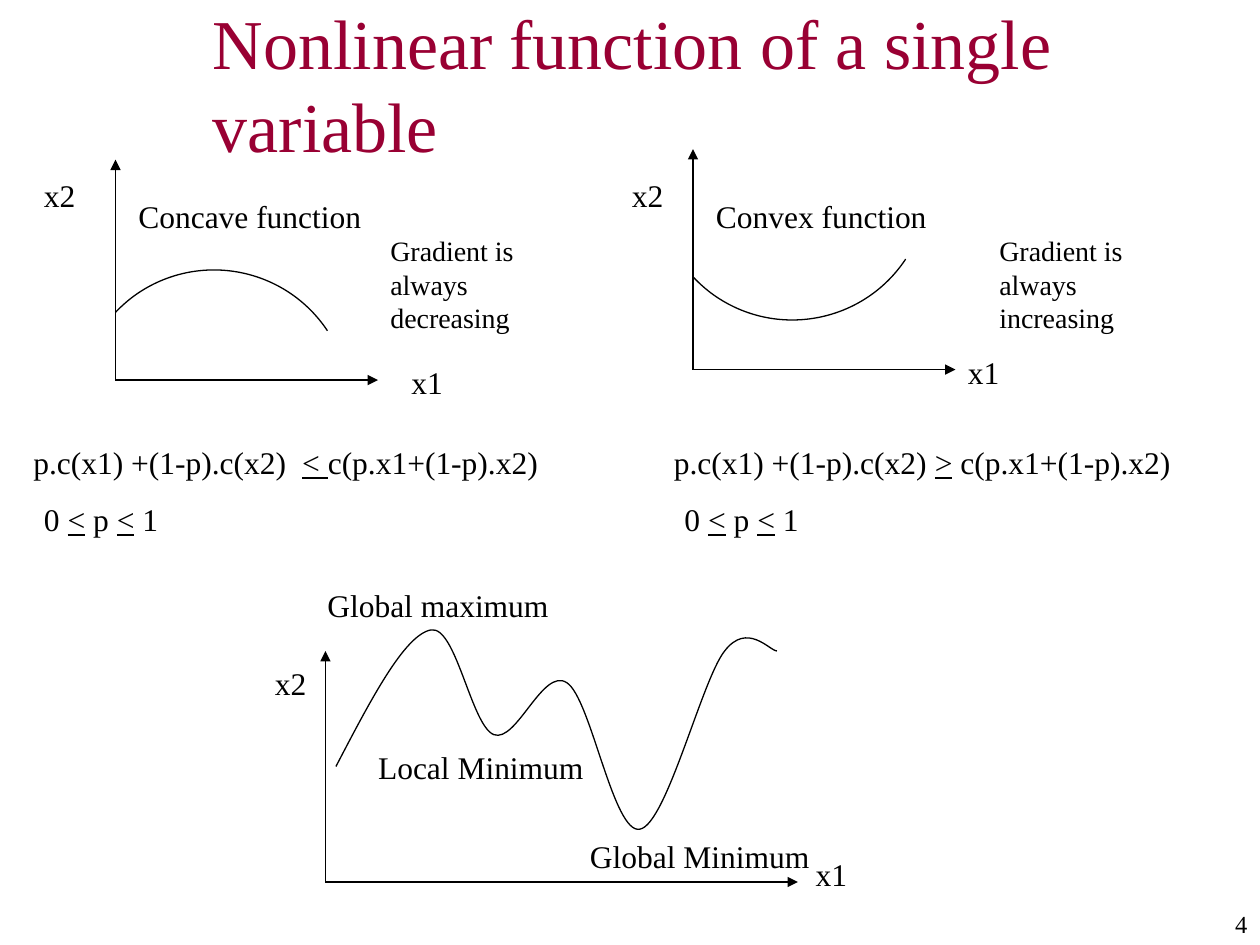
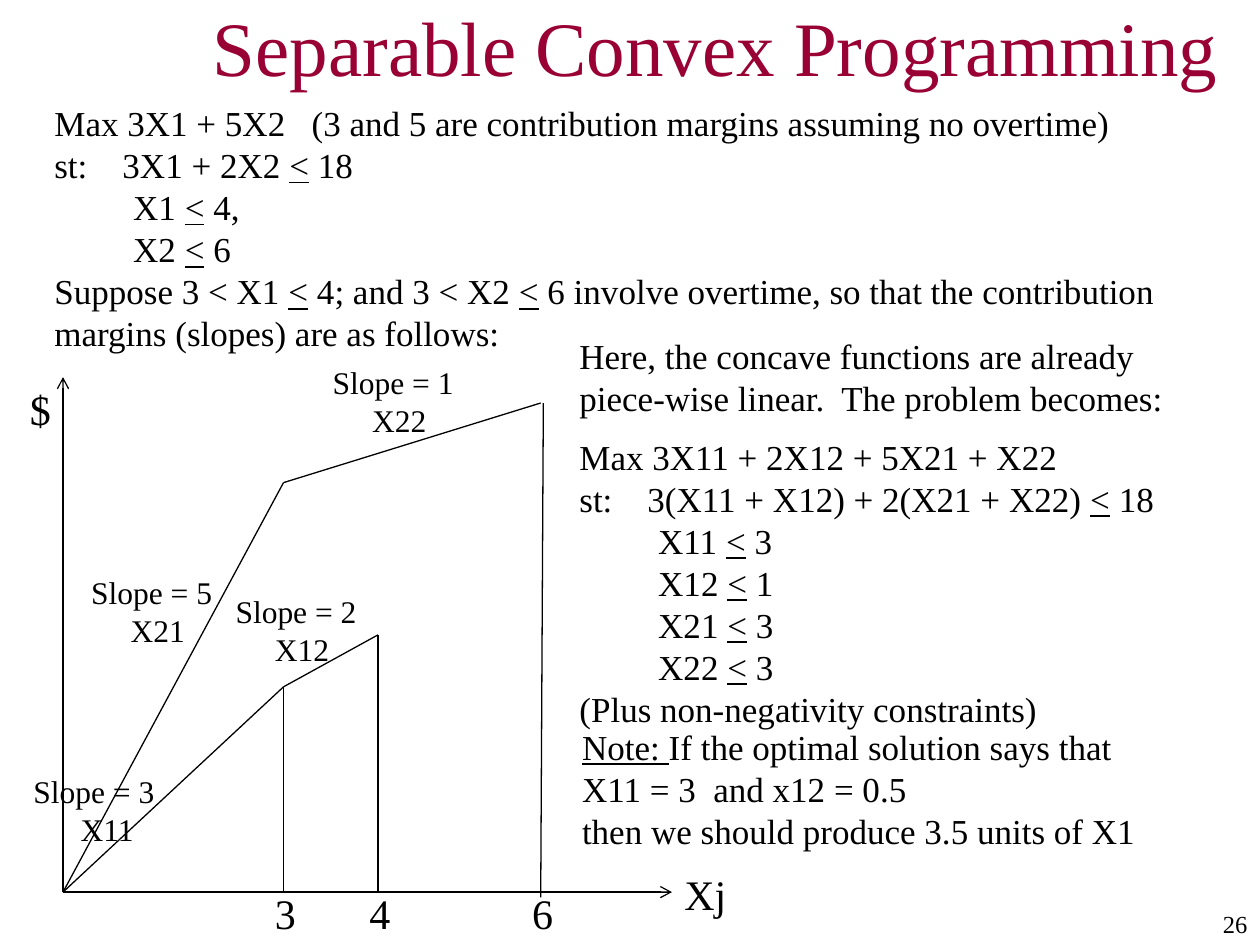
from copy import deepcopy
from dataclasses import dataclass

from lxml import etree
from pptx import Presentation, util as u
from pptx.dml.color import RGBColor
from pptx.enum import shapes, text
from pptx.oxml import ns
from pptx.slide import Slide

FONT = "Times New Roman"
INK = "000000"
TITLE_COLOR = "990033"
LINE_WIDTH = u.Pt(0.75)

Point = tuple[float, float]


@dataclass(frozen=True)
class Line:
    """One paragraph; underscores switch underlining on and off."""
    text: str
    indent: float = 0
    tab: float = 0
    before: float = 0


@dataclass(frozen=True)
class Label:
    left: float
    top: float
    width: float
    height: float
    content: str | tuple[Line, ...]
    size: float = 18
    color: str = INK
    align: text.PP_ALIGN = text.PP_ALIGN.LEFT
    anchor: text.MSO_ANCHOR = text.MSO_ANCHOR.TOP


@dataclass(frozen=True)
class Axes:
    origin: Point
    top: float
    right: float
    arrow: str = "triangle"


@dataclass(frozen=True)
class Arc:
    """A turned circular arc; direction -1 mirrors it top to bottom."""
    center: Point
    direction: int
    rotation: float


def rgb(value: str) -> RGBColor:
    return RGBColor.from_string(value)


def apply(target: object, values: dict) -> None:
    for name, value in values.items():
        setattr(target, name, value)


def write_line(paragraph, line: Line, label: Label) -> None:
    properties = paragraph._p.get_or_add_pPr()
    if line.indent:
        properties.set("marL", str(u.Pt(line.indent)))
        properties.set("indent", "0")
    if line.tab:
        tabs = etree.SubElement(properties, ns.qn("a:tabLst"))
        etree.SubElement(tabs, ns.qn("a:tab"), pos=str(u.Pt(line.tab)), algn="l")
    if line.before:
        paragraph.space_before = u.Pt(line.before)
    paragraph.alignment = label.align
    for index, part in enumerate(line.text.split("_")):
        for row, words in enumerate(part.split("\n")):
            if row:
                paragraph.add_line_break()
            if words:
                run = paragraph.add_run()
                run.text = words
                apply(run.font, {"name": FONT, "size": u.Pt(label.size),
                                 "underline": index % 2 == 1})
                run.font.color.rgb = rgb(label.color)


def add_label(slide: Slide, label: Label) -> None:
    box = slide.shapes.add_textbox(*map(u.Pt, (label.left, label.top, label.width, label.height)))
    frame = box.text_frame
    apply(frame, {"word_wrap": True, "auto_size": text.MSO_AUTO_SIZE.NONE,
                  "vertical_anchor": label.anchor})
    lines = (Line(label.content),) if isinstance(label.content, str) else label.content
    for index, line in enumerate(lines):
        paragraph = frame.add_paragraph() if index else frame.paragraphs[0]
        write_line(paragraph, line, label)


def add_line(slide: Slide, start: Point, end: Point, arrow: str = "") -> None:
    connector = slide.shapes.add_connector(
        shapes.MSO_CONNECTOR.STRAIGHT, *map(u.Pt, (*start, *end)))
    connector.line.color.rgb = rgb(INK)
    connector.line.width = LINE_WIDTH
    if arrow:
        etree.SubElement(connector.line._get_or_add_ln(), ns.qn("a:tailEnd"), type=arrow)
    etree.SubElement(connector._element.spPr, ns.qn("a:effectLst"))


def add_axes(slide: Slide, axes: Axes) -> None:
    x, y = axes.origin
    add_line(slide, axes.origin, (x, axes.top), axes.arrow)
    add_line(slide, axes.origin, (axes.right, y), axes.arrow)


def add_polyline(slide: Slide, points: list[Point]) -> None:
    for start, end in zip(points, points[1:]):
        add_line(slide, start, end)


def add_curve(slide: Slide, controls: list[Point]):
    """Draw joined cubic curves; each takes three further control points."""
    builder = slide.shapes.build_freeform(*map(u.Pt, controls[0]))
    builder.add_line_segments([(u.Pt(x), u.Pt(y)) for x, y in controls[1:]], close=False)
    curve = builder.convert_to_shape()
    curve.shadow.inherit = False
    curve.fill.background()
    curve.line.color.rgb = rgb(INK)
    curve.line.width = LINE_WIDTH
    outline = curve._element.find(".//" + ns.qn("a:path"))
    outline.set("fill", "none")
    segments = outline.findall(ns.qn("a:lnTo"))
    for first in range(0, len(segments), 3):
        cubic = etree.SubElement(outline, ns.qn("a:cubicBezTo"))
        for segment in segments[first:first + 3]:
            cubic.append(segment[0])
            outline.remove(segment)
    return curve


def add_arc(slide: Slide, arc: Arc) -> None:
    x, y = arc.center
    curve = add_curve(slide, [(x + dx, y + arc.direction * dy) for dx, dy in ARC_CONTROLS])
    curve.rotation = arc.rotation
    outline = curve._element.find(".//" + ns.qn("a:path"))
    sector = deepcopy(outline)
    del sector.attrib["fill"]
    sector.set("stroke", "0")
    side = etree.SubElement(sector, ns.qn("a:lnTo"))
    etree.SubElement(side, ns.qn("a:pt"), x=str(u.Pt(x) - curve.left), y=str(u.Pt(y) - curve.top))
    etree.SubElement(sector, ns.qn("a:close"))
    outline.addnext(sector)


def add_slide(presentation, title: Label, number: int) -> Slide:
    slide = presentation.slides.add_slide(presentation.slide_layouts[6])
    add_label(slide, title)
    add_label(slide, Label(618, 516, 102, 24, str(number), 14, align=text.PP_ALIGN.RIGHT))
    return slide


def title_label(top: float, width: float, height: float, content: str, size: float) -> Label:
    return Label(114.6, top, width, height, content, size, TITLE_COLOR,
                 anchor=text.MSO_ANCHOR.MIDDLE)


ARC_CONTROLS = [(0, 77.8), (43, 77.8), (77.8, 43), (77.8, 0),
                (77.8, -5.8), (77.1, -11.6), (75.8, -17.3)]
CONCAVE_ARC = Arc((87.1, 152.7), 1, 236.4)
CONVEX_ARC = Arc((417.5, 184.4), -1, 123.6)
GLOBAL_CURVE = [
    (192, 438), (211.7, 400.3), (231.1, 362.9), (246.2, 360),
    (260.6, 357.1), (269.3, 414.7), (282.2, 419.8),
    (295.2, 424.8), (310.3, 380.9), (324, 390.2),
    (337.7, 398.9), (350.6, 477.4), (365.8, 473.8),
    (380.9, 470.9), (401, 388.8), (414, 372.2),
    (427, 355), (439.9, 372), (444, 372)]
FUNCTION_AXES = [Axes((66, 217.2), 91.2, 216), Axes((396, 211.2), 85.2, 546),
                 Axes((186, 504), 372, 456)]
FUNCTION_LABELS = [
    Label(72, 109.2, 174, 29, "Concave function"),
    Label(402, 109.2, 174, 29, "Convex function"),
    Label(12, 249.6, 348, 29, "p.c(x1) +(1-p).c(x2)  _< _c(p.x1+(1-p).x2)"),
    Label(378, 249.6, 348, 29, "p.c(x1) +(1-p).c(x2) _>_ c(p.x1+(1-p).x2)"),
    *(Label(left, 282, 126, 29, "0 _<_ p _<_ 1") for left in (18, 384)),
    *(Label(left, top, 36, 29, "x1") for left, top in ((228, 204), (546, 198), (459, 484.8))),
    *(Label(left, top, 36, 29, "x2") for left, top in ((18, 97.2), (354, 97.2), (150, 376))),
    Label(180, 331.5, 174, 29, "Global maximum"),
    Label(209, 423.8, 174, 29, "Local Minimum"),
    Label(330, 474.5, 174, 29, "Global Minimum"),
    Label(216, 130, 108, 65, "Gradient is always decreasing", 16),
    Label(564, 130, 108, 65, "Gradient is always increasing", 16),
]

ORIGIN = (36, 509.8)
X2_PROFIT = [ORIGIN, (162, 275.8), (309, 230.3)]
X1_PROFIT = [ORIGIN, (162, 392.5), (216, 362.8)]
DROPS = [((162, 392.5), (162, 509.8)), ((216, 362.8), (216, 509.8)),
         ((310.5, 230.3), (309, 512.8))]
CONSTRAINT_INDENT = 45
ST_TAB = 38.9


def constraint(content: str) -> Line:
    return Line(content, indent=CONSTRAINT_INDENT)


def slope_label(left: float, top: float, slope: int, variable: str, indent: float = 22.5) -> Label:
    return Label(left, top, 93, 50, (Line(f"Slope = {slope}"), Line(variable, indent)))


PROGRAMMING_LABELS = [
    Label(24, 54.5, 678, 151, (
        Line("Max 3X1 + 5X2\t(3 and 5 are contribution margins assuming no overtime)", tab=147),
        Line("st:\t3X1 + 2X2 _<_ 18", tab=ST_TAB),
        constraint("X1 _<_ 4,"),
        constraint("X2 _<_ 6"),
        Line("Suppose 3 < X1 _<_ 4; and 3 < X2 _<_ 6 involve overtime, "
             "so that the contribution margins (slopes) are as follows:")), 20),
    Label(324, 187.5, 378, 233, (
        Line("Here, the concave functions are already piece-wise linear.  The problem becomes:"),
        Line("Max 3X11 + 2X12 + 5X21 + X22", before=9.8),
        Line("st:\t3(X11 + X12) + 2(X21 + X22) _<_ 18", tab=ST_TAB),
        constraint("X11 _<_ 3"),
        constraint("X12 _<_ 1\nX21 _<_ 3"),
        constraint("X22 _<_ 3"),
        Line("(Plus non-negativity constraints)")), 20),
    Label(325.5, 411, 336, 79, (
        Line("_Note: _If the optimal solution says that X11 = 3  and x12 = 0.5"),
        Line("then we should produce 3.5 units of X1")), 20),
    slope_label(45, 323.8, 5, "X21"),
    slope_label(12, 437.5, 3, "X11", 27),
    slope_label(127.5, 334.8, 2, "X12"),
    slope_label(183, 203.8, 1, "X22"),
    *(Label(left, 503.4, 27, 36, mark, 24)
      for left, mark in ((150, "3"), (204, "4"), (297, "6"))),
    Label(384, 492.5, 42, 36, "Xj", 24),
    Label(10, 215.5, 28, 36, "$", 24),
]


def build_function_slide(presentation) -> None:
    title = title_label(17.4, 576, 60, "Nonlinear function of a single variable", 40)
    slide = add_slide(presentation, title, 4)
    for axes in FUNCTION_AXES:
        add_axes(slide, axes)
    for arc in (CONCAVE_ARC, CONVEX_ARC):
        add_arc(slide, arc)
    add_curve(slide, GLOBAL_CURVE)
    for label in FUNCTION_LABELS:
        add_label(slide, label)


def build_programming_slide(presentation) -> None:
    title = title_label(5.4, 606, 42, "Separable Convex Programming", 44)
    slide = add_slide(presentation, title, 26)
    add_axes(slide, Axes(ORIGIN, 215.5, 384, "arrow"))
    for points in (X2_PROFIT, X1_PROFIT, *DROPS):
        add_polyline(slide, points)
    for label in PROGRAMMING_LABELS:
        add_label(slide, label)


def main() -> None:
    presentation = Presentation()
    apply(presentation, {"slide_width": u.Pt(720), "slide_height": u.Pt(540)})
    build_function_slide(presentation)
    build_programming_slide(presentation)
    presentation.save("out.pptx")


if __name__ == "__main__":
    main()
